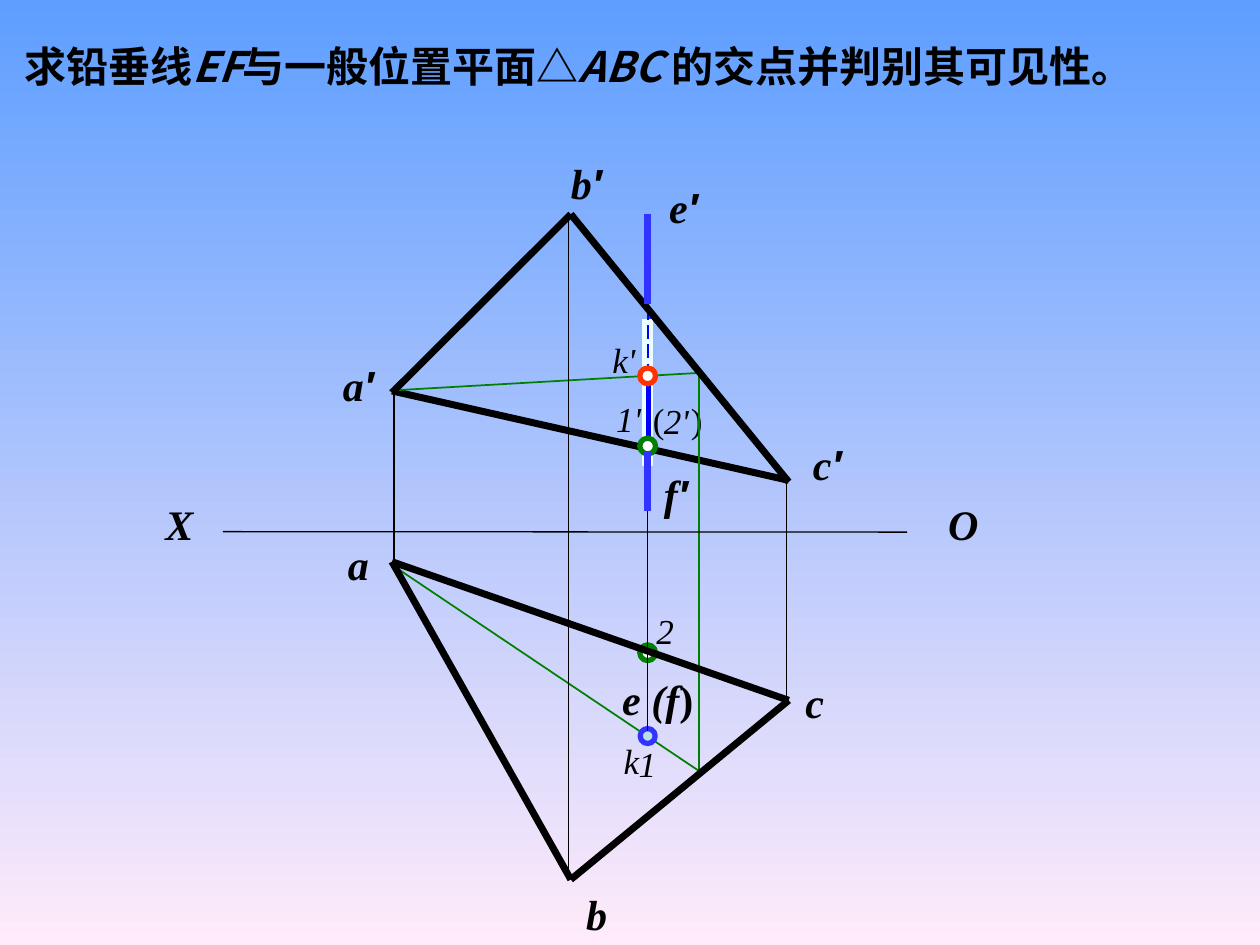
import lxml.etree
import pptx
import pptx.dml.color
import pptx.enum.dml
import pptx.enum.shapes
import pptx.enum.text
import pptx.oxml.ns
import pptx.util

Pt = pptx.util.Pt
DASH = pptx.enum.dml.MSO_LINE

BLACK, GREEN, BLUE, WHITE = "000000", "008000", "3333FF", "FFFFFF"
SERIF, SANS, CHINESE = "Times New Roman", "Arial", "Noto Sans CJK SC"

# Projections of the triangle: front view (primed) and top view
A_FRONT, B_FRONT, C_FRONT = (224, 224.4), (326.2, 122.4), (450.7, 275.4)
A_TOP, B_TOP, C_TOP = (224, 321), (326.2, 502.6), (450.7, 400.2)
# Ends of the auxiliary line through K on side BC
D_FRONT, D_TOP = (399.5, 213.1), (399.5, 440.6)
EF_X = 370.1
AXIS_Y = 303.8


def color(hex_value):
    return pptx.dml.color.RGBColor.from_string(hex_value)


def paint_background(slide, top_color, bottom_color):
    fill = slide.background.fill
    fill.gradient()
    fill.gradient_angle = 270
    for stop, position, value in zip(fill.gradient_stops, (0, 1), (top_color, bottom_color)):
        stop.position = position
        stop.color.rgb = color(value)


def style_run(run, size, font_name, bold, italic):
    font = run.font
    font.size, font.name, font.bold, font.italic = Pt(size), font_name, bold, italic
    font.color.rgb = color(BLACK)


def add_title(slide):
    title = slide.shapes.title
    title.left, title.top, title.width, title.height = Pt(7.2), Pt(8.6), Pt(670.3), Pt(62.6)
    frame = title.text_frame
    frame.auto_size = pptx.enum.text.MSO_AUTO_SIZE.NONE
    frame.vertical_anchor = pptx.enum.text.MSO_ANCHOR.MIDDLE
    frame.margin_left, frame.margin_right = Pt(6.7), Pt(42)
    paragraph = frame.paragraphs[0]
    paragraph.alignment = pptx.enum.text.PP_ALIGN.LEFT
    paragraph.line_spacing = 0.83
    parts = ("求铅垂线", "EF", "与一般位置平面△", "ABC ", "的交点并判别其可见性。")
    for index, text in enumerate(parts):
        run = paragraph.add_run()
        run.text = text
        style_run(run, 24, CHINESE, True, index % 2 == 1)
        east_asian = lxml.etree.SubElement(run.font._element, pptx.oxml.ns.qn("a:ea"))
        east_asian.set("typeface", CHINESE)


def add_line(slide, start, end, line_color=BLACK, width=0.75, dash=None):
    line = slide.shapes.add_connector(
        pptx.enum.shapes.MSO_CONNECTOR.STRAIGHT, *(Pt(value) for value in start + end))
    line.line.color.rgb = color(line_color)
    line.line.width = Pt(width)
    if dash:
        line.line.dash_style = dash
    lxml.etree.SubElement(line._element.spPr, pptx.oxml.ns.qn("a:effectLst"))


def add_point(slide, center_y, line_color, fill_color=WHITE, diameter=9):
    """Draw a small ring on the line EF."""
    point = slide.shapes.add_shape(
        pptx.enum.shapes.MSO_SHAPE.OVAL, Pt(EF_X - diameter / 2),
        Pt(center_y - diameter / 2), Pt(diameter), Pt(diameter))
    point.shadow.inherit = False
    point.fill.solid()
    point.fill.fore_color.rgb = color(fill_color)
    point.line.color.rgb = color(line_color)
    point.line.width = Pt(3)


def add_text(slide, left, top, width, height, parts):
    """Add a one-line box; each part is its text, size, font, bold and italic."""
    box = slide.shapes.add_textbox(Pt(left), Pt(top), Pt(width), Pt(height))
    paragraph = box.text_frame.paragraphs[0]
    for text, *style in parts:
        run = paragraph.add_run()
        run.text = text
        style_run(run, *style)
    return box.text_frame


def add_vertex_label(slide, left, top, name, suffix="", width=41):
    parts = [(name, 24, SERIF, True, True)]
    if suffix == "′":
        parts.append((suffix, 24, SANS, True, True))
    elif suffix:
        parts.append((suffix, 24, SERIF, True, False))
    frame = add_text(slide, left, top, width, 36, parts)
    frame.word_wrap = True
    frame.vertical_anchor = pptx.enum.text.MSO_ANCHOR.MIDDLE
    frame.paragraphs[0].alignment = pptx.enum.text.PP_ALIGN.CENTER


def add_point_label(slide, left, top, text, width=20, italic=True):
    frame = add_text(slide, left, top, width, 24, [(text, 20, SERIF, False, italic)])
    frame.word_wrap = True
    frame.margin_left = frame.margin_right = frame.margin_top = frame.margin_bottom = 0
    return frame


def add_parentheses(slide):
    """Add the pair of parentheses, with a tab stop leaving room for 2'."""
    frame = add_point_label(slide, 373, 227.5, "(\t)", 37, italic=False)
    properties = frame.paragraphs[0]._p.get_or_add_pPr()
    tab_list = lxml.etree.SubElement(properties, pptx.oxml.ns.qn("a:tabLst"))
    tab = lxml.etree.SubElement(tab_list, pptx.oxml.ns.qn("a:tab"))
    tab.set("pos", str(Pt(21.7)))
    tab.set("algn", "l")


def add_intersection(slide):
    """Draw the auxiliary lines, the points K, 1 and 2, and the part of EF inside ABC."""
    add_line(slide, (224, 223.4), (450.7, 274.5), width=4)
    add_line(slide, (371.5, 179.3), (371.5, 252.7), BLUE, 1.5, DASH.DASH_DOT_DOT)
    add_parentheses(slide)
    for start, end in (((222.5, 321.8), D_TOP), (D_TOP, D_FRONT), ((222.5, 223.2), D_FRONT)):
        add_line(slide, start, end, GREEN, 1)
    add_point_label(slide, 356.4, 422.6, "k")
    add_point_label(slide, 375.1, 348.5, "2")
    add_point(slide, 373, GREEN)
    add_point_label(slide, 365, 424.1, "1")
    add_line(slide, (EF_X, 182.2), (EF_X, 266.4), "EBFFFF", 6)
    add_line(slide, (EF_X, 175), (EF_X, 214.6), "0000FF", 1, DASH.LONG_DASH)
    add_line(slide, (370.5, 214.6), (370.5, 268.6), "0000FF", 3)
    add_point(slide, 214.8, "FF3300")
    add_point_label(slide, 349.9, 193.7, "k'")
    add_point(slide, 254.9, GREEN)
    add_point_label(slide, 379.4, 228.2, "2'", 27)
    add_point_label(slide, 352.1, 227.2, "1'", 27)


def add_triangles(slide):
    for start, end in ((B_FRONT, A_FRONT), (B_FRONT, C_FRONT),
                       (C_TOP, B_TOP), (A_TOP, C_TOP), (B_TOP, A_TOP)):
        add_line(slide, start, end, width=4)
    for x, front, top in ((225.2, A_FRONT, A_TOP), (449.5, C_FRONT, C_TOP),
                          (324.7, B_FRONT, B_TOP)):
        add_line(slide, (x, front[1]), (x, top[1]))
    add_line(slide, (518.4, AXIS_Y + 0.3), (127.4, AXIS_Y))


def add_line_ef(slide):
    add_point(slide, 420.6, BLUE, "BBE0E3", 8.6)
    for top, bottom in ((122.4, 173.5), (258.5, 292.3)):
        add_line(slide, (EF_X, top), (EF_X, bottom), BLUE, 4)
    add_line(slide, (EF_X, 292.3), (EF_X, 417.6))


def main():
    presentation = pptx.Presentation()
    presentation.slide_width, presentation.slide_height = Pt(720), Pt(540)
    slide = presentation.slides.add_slide(presentation.slide_layouts[5])
    paint_background(slide, "5E9EFF", "FFEBFA")
    add_title(slide)
    add_intersection(slide)
    add_triangles(slide)
    add_line_ef(slide)
    for left, top, name, suffix in (
            (184.3, 201.6, "a", "′"), (314.6, 86.4, "b", "′"), (452.2, 247.2, "c", "′"),
            (184.3, 304, "a", ""), (320.4, 504, "b", ""), (445, 383.2, "c", ""),
            (82.1, 281.5, "X", ""), (529.9, 281.5, "O", ""),
            (370.1, 100.1, "e", "′"), (365.8, 264.4, "f", "′")):
        add_vertex_label(slide, left, top, name, suffix)
    add_vertex_label(slide, 342, 381.4, "e (f", ")", 67.7)
    presentation.save("out.pptx")


if __name__ == "__main__":
    main()
